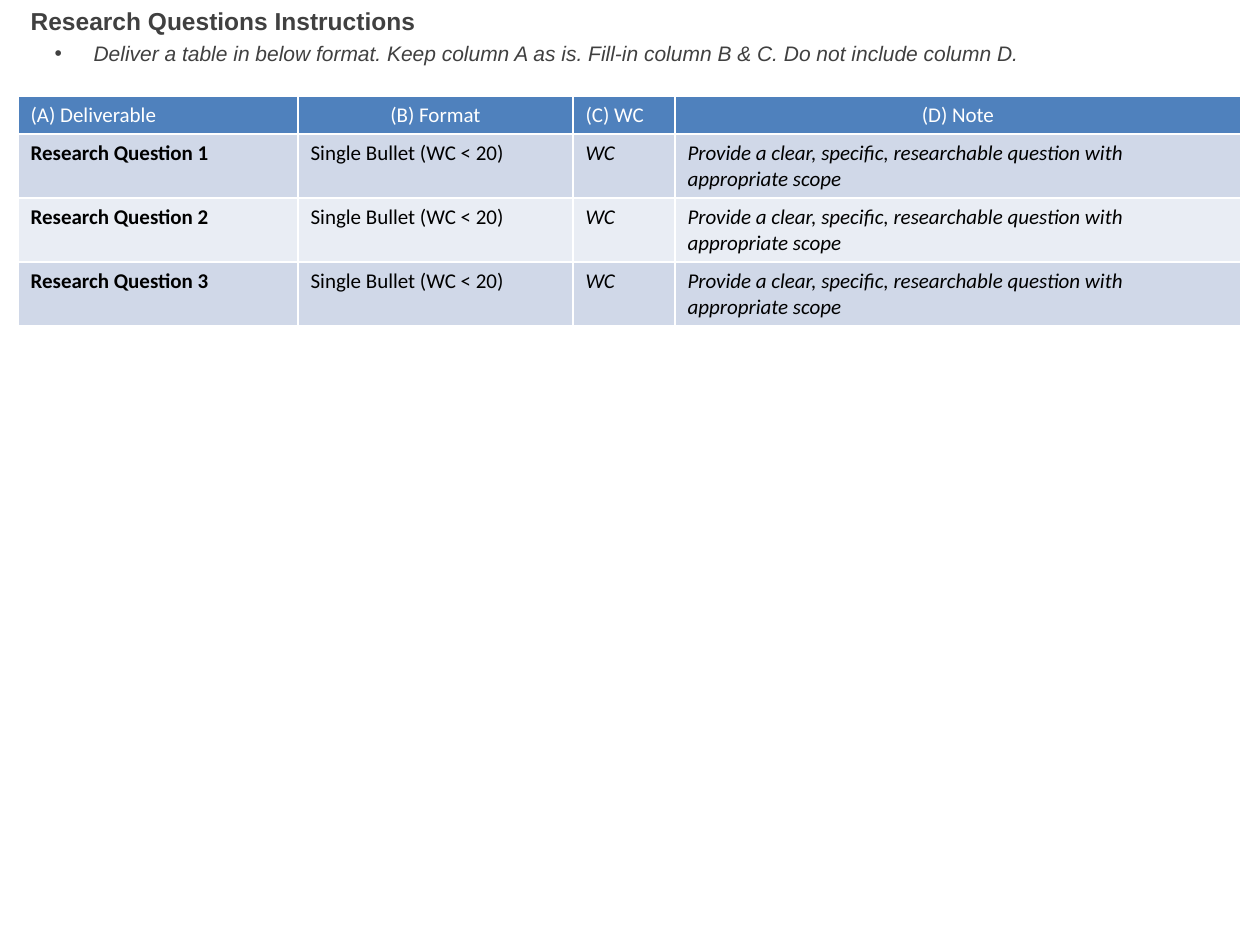
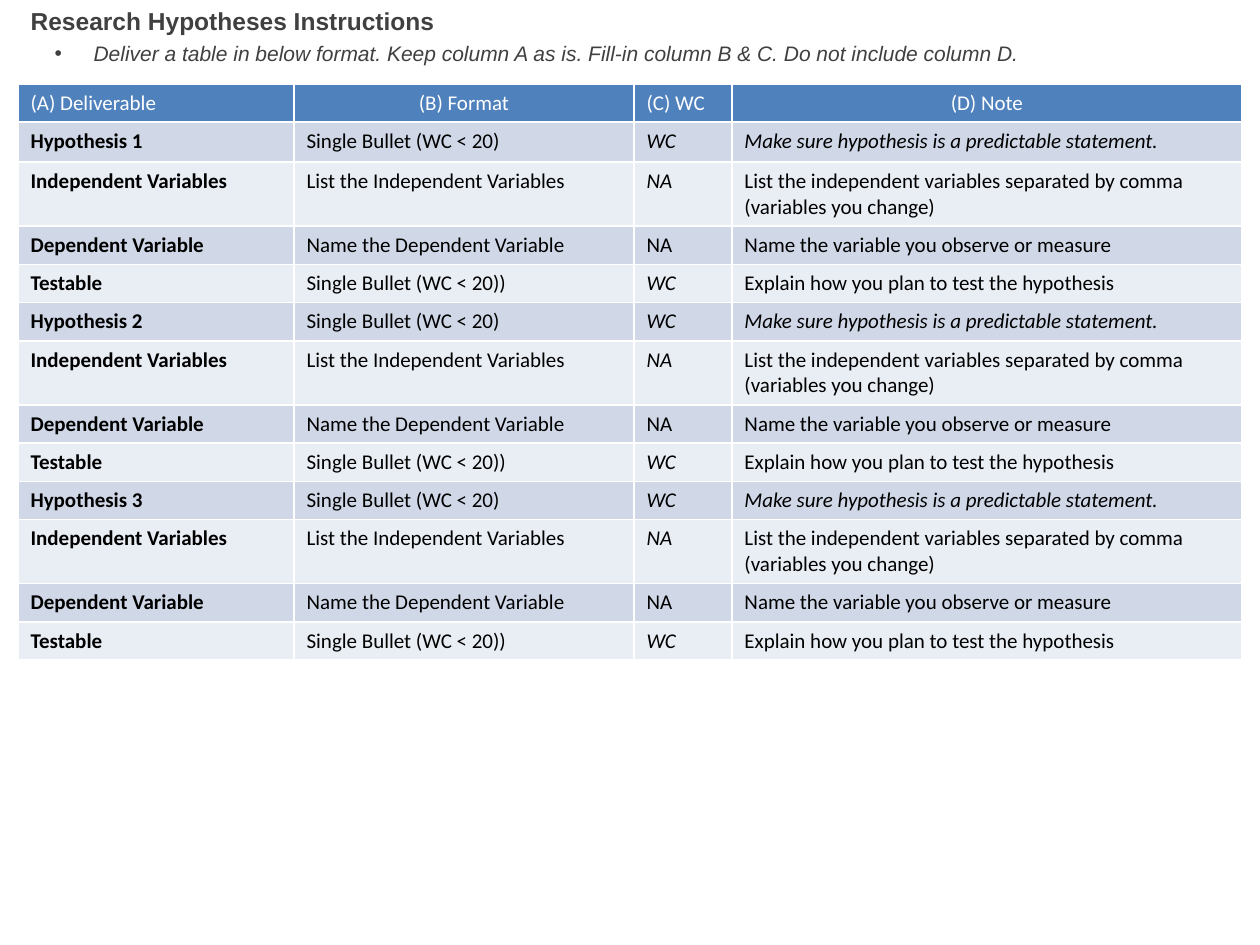
from dataclasses import dataclass

from lxml.etree import SubElement
from pptx import Presentation
from pptx.dml.color import RGBColor as Color
from pptx.enum.text import MSO_ANCHOR as Anchor, MSO_AUTO_SIZE as AutoSize, PP_ALIGN as Align
from pptx.oxml.ns import qn
from pptx.util import Pt

PX = 914400 / 126


@dataclass(frozen=True)
class Theme:
    heading_font: str = "Arial"
    table_font: str = "Calibri"
    title_size: int = 14
    text_size: int = 12
    heading: str = "404040"
    ink: str = "000000"
    white: str = "FFFFFF"
    header: str = "4F81BD"
    bands: tuple = ("D0D8E8", "E9EDF4")
    rule: int = 1


@dataclass(frozen=True)
class Box:
    left: int
    top: int
    width: int
    height: int = 0

    def emu(self):
        return [px(side) for side in (self.left, self.top, self.width, self.height)]


@dataclass(frozen=True)
class Entry:
    label: str
    form: str
    count: str
    note: str
    count_italic: bool = True
    note_italic: bool = False
    height: int = 38


THEME = Theme()
TITLE_BOX = Box(18, 0, 1068, 86)
INSTRUCTION_BOX = Box(42, 34, 1068, 34)
BULLET_INDENT = 39
HEADER_HEIGHT = 38
TWO_LINES = 64
HEADINGS = ("(A) Deliverable", "(B) Format", "(C) WC", "(D) Note")
HEADING_ALIGNS = (Align.LEFT, Align.CENTER, Align.LEFT, Align.CENTER)
INSTRUCTION = ("Deliver a table in below format. Keep column A as is. "
               "Fill-in column B & C. Do not include column D.")
SINGLE_BULLET = "Single Bullet (WC < 20)"


def px(length):
    return round(length * PX)


def add_span(para, text, font, size, color, bold=False, italic=False):
    span = para.add_run()
    span.text = text
    span.font.name = font
    span.font.size = Pt(size)
    span.font.color.rgb = Color.from_string(color)
    span.font.bold = bold
    span.font.italic = italic


def prepare_placeholder(holder, box):
    holder.left, holder.top, holder.width, holder.height = box.emu()
    frame = holder.text_frame
    frame.word_wrap = True
    frame.auto_size = AutoSize.NONE
    frame.vertical_anchor = Anchor.TOP
    para = frame.paragraphs[0]
    para.alignment = Align.LEFT
    para.space_before = Pt(0)
    return para


def add_title(page, box, text):
    para = prepare_placeholder(page.shapes.title, box)
    add_span(para, text, THEME.heading_font, THEME.title_size, THEME.heading, bold=True)


def add_instruction(page, box, text):
    para = prepare_placeholder(page.placeholders[1], box)
    settings = para._p.get_or_add_pPr()
    settings.set("marL", str(px(BULLET_INDENT)))
    settings.set("indent", str(-px(BULLET_INDENT)))
    SubElement(settings, qn("a:buFont"), typeface=THEME.heading_font)
    SubElement(settings, qn("a:buChar"), char="•")
    add_span(para, text, THEME.heading_font, THEME.text_size, THEME.heading, italic=True)


def style_cell(cell, fill):
    settings = cell._tc.get_or_add_tcPr()
    for side in ("lnL", "lnR", "lnT", "lnB"):
        line = SubElement(settings, qn(f"a:{side}"), w=str(Pt(THEME.rule)))
        paint = SubElement(line, qn("a:solidFill"))
        SubElement(paint, qn("a:srgbClr"), val=THEME.white)
    cell.fill.solid()
    cell.fill.fore_color.rgb = Color.from_string(fill)


def fill_cell(cell, text, fill, color, align=Align.LEFT, bold=False, italic=False):
    style_cell(cell, fill)
    para = cell.text_frame.paragraphs[0]
    para.alignment = align
    add_span(para, text, THEME.table_font, THEME.text_size, color, bold, italic)


def add_deliverables(page, box, widths, entries):
    heights = [HEADER_HEIGHT] + [entry.height for entry in entries]
    area = Box(box.left, box.top, box.width, sum(heights))
    table = page.shapes.add_table(len(heights), len(widths), *area.emu()).table
    for column, width in zip(table.columns, widths):
        column.width = px(width)
    for row, height in zip(table.rows, heights):
        row.height = px(height)
    for index, (heading, align) in enumerate(zip(HEADINGS, HEADING_ALIGNS)):
        fill_cell(table.cell(0, index), heading, THEME.header, THEME.white, align)
    for number, entry in enumerate(entries):
        band = THEME.bands[number % len(THEME.bands)]
        texts = (entry.label, entry.form, entry.count, entry.note)
        italics = (False, False, entry.count_italic, entry.note_italic)
        for index, (text, italic) in enumerate(zip(texts, italics)):
            fill_cell(table.cell(number + 1, index), text, band, THEME.ink,
                      bold=index == 0, italic=italic)


def question_entries():
    note = "Provide a clear, specific, researchable question with appropriate scope"
    return [Entry(f"Research Question {number}", SINGLE_BULLET, "WC", note,
                  note_italic=True, height=TWO_LINES)
            for number in range(1, 4)]


def hypothesis_entries():
    entries = []
    for number in range(1, 4):
        entries += [
            Entry(f"Hypothesis {number}", SINGLE_BULLET, "WC",
                  "Make sure hypothesis is a predictable statement.",
                  note_italic=True, height=40 if number == 1 else 38),
            Entry("Independent Variables", "List the Independent Variables", "NA",
                  "List the independent variables separated by comma (variables you change)",
                  height=TWO_LINES),
            Entry("Dependent Variable", "Name the Dependent Variable", "NA",
                  "Name the variable you observe or measure", count_italic=False),
            Entry("Testable", SINGLE_BULLET + ")", "WC",
                  "Explain how you plan to test the hypothesis"),
        ]
    return entries


def add_page(deck, title, top, widths, entries):
    page = deck.slides.add_slide(deck.slide_layouts[1])
    add_title(page, TITLE_BOX, title)
    add_instruction(page, INSTRUCTION_BOX, INSTRUCTION)
    add_deliverables(page, Box(18, top, sum(widths)), widths, entries)


def main():
    deck = Presentation()
    deck.slide_width, deck.slide_height = px(1260), px(945)
    add_page(deck, "Research Questions Instructions", 96,
             (280, 275, 102, 566), question_entries())
    add_page(deck, "Research Hypotheses Instructions", 84,
             (276, 340, 98, 510), hypothesis_entries())
    deck.save("out.pptx")


if __name__ == "__main__":
    main()
